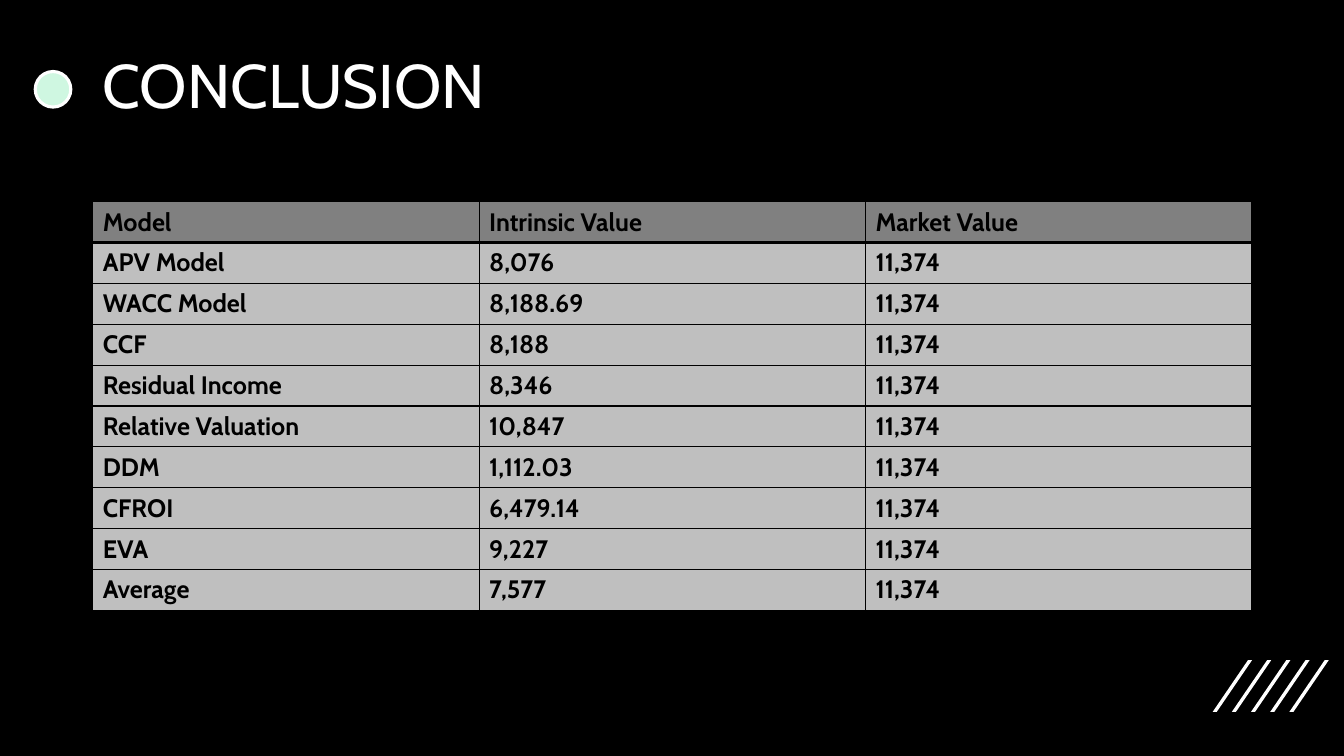
from dataclasses import dataclass

from lxml.etree import SubElement
from pptx import Presentation
from pptx.dml.color import RGBColor
from pptx.enum.shapes import MSO_SHAPE
from pptx.enum.text import MSO_ANCHOR
from pptx.oxml.ns import qn
from pptx.slide import Slide
from pptx.table import _Cell
from pptx.util import Pt


@dataclass(frozen=True)
class Theme:
    font: str = "Cabin"
    background: str = "000000"
    light: str = "FFFFFF"
    accent: str = "CFF7E1"
    header_fill: str = "808080"
    body_fill: str = "BFBFBF"
    cell_text: str = "000000"
    border: str = "000000"
    title_size: float = 44
    table_size: float = 18


@dataclass(frozen=True)
class Valuation:
    model: str
    intrinsic: str
    market: str = "11,374"


THEME = Theme()
LEFT, CONTENT_WIDTH = 66.24, 828
TABLE_TOP, ROW_HEIGHT = 144, 29.2
BORDER_WIDTH, HEADER_RULE_WIDTH = 1, 3

HEADER = Valuation("Model", "Intrinsic Value", "Market Value")
VALUATIONS = [
    Valuation("APV Model", "8,076"),
    Valuation("WACC Model", "8,188.69"),
    Valuation("CCF", "8,188"),
    Valuation("Residual Income", "8,346"),
    Valuation("Relative Valuation", "10,847"),
    Valuation("DDM", "1,112.03"),
    Valuation("CFROI", "6,479.14"),
    Valuation("EVA", "9,227"),
    Valuation("Average", "7,577"),
]


def rgb(value: str) -> RGBColor:
    return RGBColor.from_string(value)


def add_slashes(slide: Slide) -> None:
    top, bottom = 471.6, 508.5
    stroke_width, slant, step = 2.9, 25.2, 13.7
    for index in range(5):
        left = 866.2 + index * step
        builder = slide.shapes.build_freeform(Pt(left + stroke_width), Pt(bottom))
        builder.add_line_segments([
            (Pt(left), Pt(bottom)),
            (Pt(left + slant), Pt(top)),
            (Pt(left + slant + stroke_width), Pt(top)),
        ], close=True)
        slash = builder.convert_to_shape()
        slash.shadow.inherit = False
        slash.fill.solid()
        slash.fill.fore_color.rgb = rgb(THEME.light)
        slash.line.fill.background()


def add_title_dot(slide: Slide) -> None:
    dot = slide.shapes.add_shape(MSO_SHAPE.OVAL, Pt(25.2), Pt(51.1), Pt(25.4), Pt(25.4))
    dot.shadow.inherit = False
    dot.fill.solid()
    dot.fill.fore_color.rgb = rgb(THEME.accent)
    dot.line.color.rgb = rgb(THEME.light)
    dot.line.width = Pt(2.25)


def add_title(slide: Slide, text: str) -> None:
    title = slide.shapes.add_textbox(Pt(LEFT), Pt(10.8), Pt(CONTENT_WIDTH), Pt(104.4))
    frame = title.text_frame
    frame.word_wrap = True
    frame.vertical_anchor = MSO_ANCHOR.MIDDLE
    frame.text = text
    paragraph = frame.paragraphs[0]
    paragraph.line_spacing = 0.9
    font = paragraph.runs[0].font
    font.name = THEME.font
    font.size = Pt(THEME.title_size)
    font.color.rgb = rgb(THEME.light)


def set_borders(cell: _Cell, top: float, bottom: float) -> None:
    """Draw all four cell borders; call before filling, as the schema puts lines first."""
    properties = cell._tc.get_or_add_tcPr()
    widths = {"a:lnL": BORDER_WIDTH, "a:lnR": BORDER_WIDTH, "a:lnT": top, "a:lnB": bottom}
    for tag, width in widths.items():
        line = SubElement(properties, qn(tag), w=str(Pt(width)))
        fill = SubElement(line, qn("a:solidFill"))
        SubElement(fill, qn("a:srgbClr"), val=THEME.border)


def style_cell(cell: _Cell, text: str, row_index: int) -> None:
    is_header = row_index == 0
    set_borders(
        cell,
        top=HEADER_RULE_WIDTH if row_index == 1 else BORDER_WIDTH,
        bottom=HEADER_RULE_WIDTH if is_header else BORDER_WIDTH,
    )
    cell.fill.solid()
    cell.fill.fore_color.rgb = rgb(THEME.header_fill if is_header else THEME.body_fill)
    cell.text_frame.text = text
    font = cell.text_frame.paragraphs[0].runs[0].font
    font.name = THEME.font
    font.size = Pt(THEME.table_size)
    font.bold = True
    font.color.rgb = rgb(THEME.cell_text)


def add_valuation_table(slide: Slide) -> None:
    rows = [HEADER, *VALUATIONS]
    table = slide.shapes.add_table(
        len(rows), 3, Pt(LEFT), Pt(TABLE_TOP), Pt(CONTENT_WIDTH), Pt(ROW_HEIGHT * len(rows))
    ).table
    for row_index, valuation in enumerate(rows):
        texts = (valuation.model, valuation.intrinsic, valuation.market)
        for column_index, text in enumerate(texts):
            style_cell(table.cell(row_index, column_index), text, row_index)


def main() -> None:
    presentation = Presentation()
    presentation.slide_width, presentation.slide_height = Pt(960), Pt(540)
    slide = presentation.slides.add_slide(presentation.slide_layouts[6])
    slide.background.fill.solid()
    slide.background.fill.fore_color.rgb = rgb(THEME.background)
    add_slashes(slide)
    add_title_dot(slide)
    add_title(slide, "CONCLUSION")
    add_valuation_table(slide)
    presentation.save("out.pptx")


if __name__ == "__main__":
    main()
